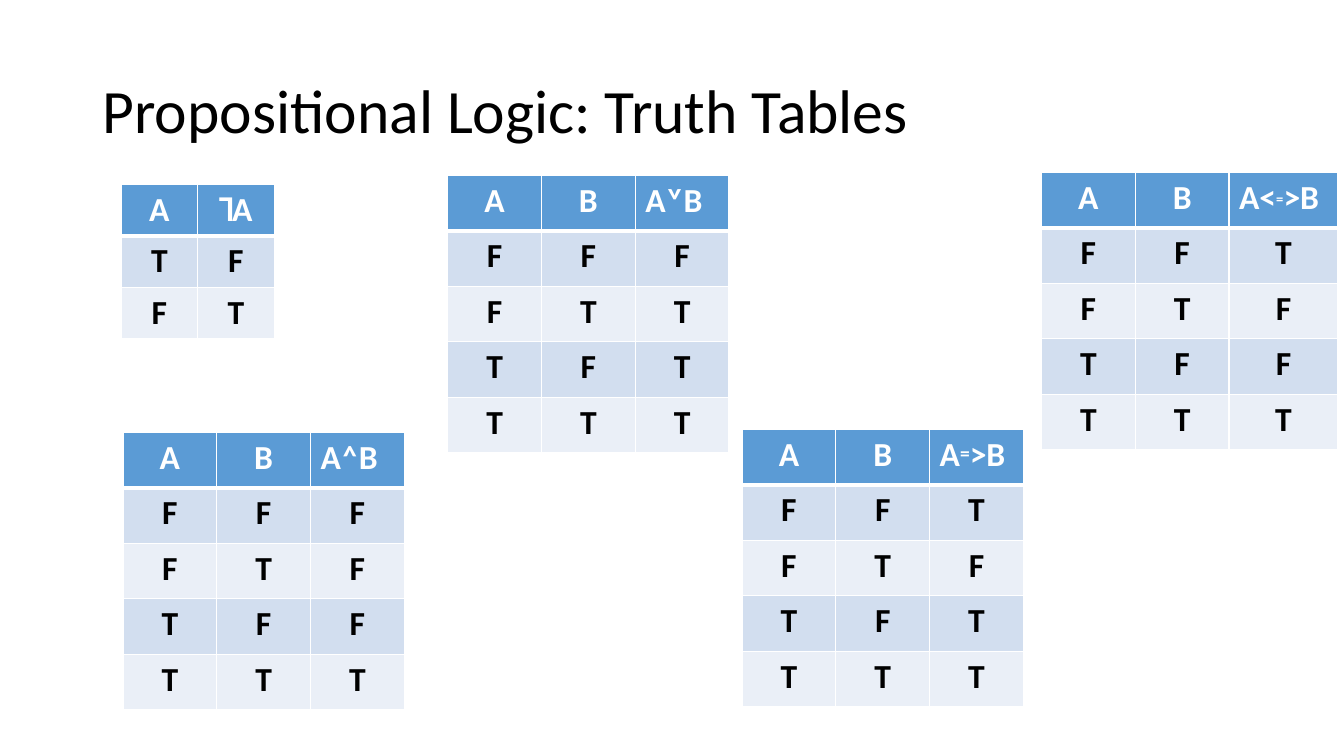
import itertools

import lxml.etree
import pptx
import pptx.dml.color
import pptx.enum.text
import pptx.oxml.ns
import pptx.util

SCALE = 9144  # EMU in one px, 100 px to the inch
THEME = {
    "font": "Calibri",
    "ink": "000000",
    "paper": "FFFFFF",
    "head": "5B9BD5",
    "bands": ("D2DEEF", "EAEFF7"),
    "title": 44,
    "cell": 24,
    "small": 18,
    "line": 1,
    "rule": 3,
}
LEFT = pptx.enum.text.PP_ALIGN.LEFT
MID = pptx.enum.text.PP_ALIGN.CENTER
PAIRS = list(itertools.product("FT", repeat=2))


def px(num):
    return pptx.util.Emu(num * SCALE)


def tint(code):
    return pptx.dml.color.RGBColor.from_string(code)


def put(item, form):
    for name, value in form.items():
        setattr(item, name, value)


def add_run(para, text, size, color, bold=False, lift=0):
    """Add a run; lift is its superscript rise in percent."""
    run = para.add_run()
    run.text = text
    put(run.font, {"name": THEME["font"], "size": pptx.util.Pt(size), "bold": bold})
    run.font.color.rgb = tint(color)
    if lift:
        run.font._element.set("baseline", str(lift * 1000))


def add_edge(cell, side, width):
    """Draw one border of a cell; side is L, R, T or B."""
    props = cell._tc.get_or_add_tcPr()
    tag = pptx.oxml.ns.qn
    line = lxml.etree.SubElement(props, tag(f"a:ln{side}"), w=str(pptx.util.Pt(width)))
    fill = lxml.etree.SubElement(line, tag("a:solidFill"))
    lxml.etree.SubElement(fill, tag("a:srgbClr"), val=THEME["paper"])


def fill_cell(cell, runs, row, align):
    """Fill a cell with (text, size, lift) runs; row 0 is the header."""
    for side in "LRTB":
        thick = (row, side) in ((0, "B"), (1, "T"))
        add_edge(cell, side, THEME["rule" if thick else "line"])
    cell.fill.solid()
    cell.fill.fore_color.rgb = tint(THEME["bands"][(row - 1) % 2] if row else THEME["head"])
    para = cell.text_frame.paragraphs[0]
    para.alignment = align
    for text, size, lift in runs:
        add_run(para, text, size, THEME["ink" if row else "paper"], True, lift)


def add_truth(slide, box, cols, label, rows):
    """Place a truth table at box (left, top, row height); label heads its last column."""
    left, top, high = box
    count = len(rows) + 1
    frame = slide.shapes.add_table(
        count, len(cols), px(left), px(top), px(sum(cols)), px(high * count))
    table = frame.table
    put(table, {"first_row": True, "horz_banding": False})
    for col, wide in zip(table.columns, cols):
        col.width = px(wide)
    for row in table.rows:
        row.height = px(high)

    plain = [[(text, THEME["cell"], 0)] for text in "AB"[:len(cols) - 1]]
    grid = [plain + [label]]
    grid += [[[(text, THEME["cell"], 0)] for text in row] for row in rows]
    for y, line in enumerate(grid):
        for x, runs in enumerate(line):
            align = LEFT if y == 0 and x == 2 else MID
            fill_cell(table.cell(y, x), runs, y, align)


def add_title(slide, box, text):
    frame = slide.shapes.add_textbox(*map(px, box)).text_frame
    put(frame, {"word_wrap": True, "vertical_anchor": pptx.enum.text.MSO_ANCHOR.MIDDLE})
    para = frame.paragraphs[0]
    para.line_spacing = 0.9
    add_run(para, text, THEME["title"], THEME["ink"])


def add_slide(deck):
    slide = deck.slides.add_slide(deck.slide_layouts[6])
    add_title(slide, (92, 40, 1150, 145), "Propositional Logic: Truth Tables")
    size, small = THEME["cell"], THEME["small"]
    add_truth(slide, (120, 183, 51), (76, 76), [("˥A", size, 0)], ["TF", "FT"])
    even = (93, 93, 93)
    tables = (
        ((122, 429, 55), even, [("A˄B", size, 0)], "FFFT"),
        ((444, 174, 55), even, [("A˅B", size, 0)], "FTTT"),
        ((736, 426, 55), even,
         [("A", size, 0), ("=", size, 18), (">B", size, 0)], "TFTT"),
        ((1033, 171, 55), (93, 93, 108),
         [("A<", size, 0), ("=", small, 18), (">B", size, 0)], "TFFT"),
    )
    for box, cols, label, values in tables:
        rows = [(*pair, value) for pair, value in zip(PAIRS, values)]
        add_truth(slide, box, cols, label, rows)


def main():
    deck = pptx.Presentation()
    put(deck, {"slide_width": px(1333), "slide_height": px(750)})
    add_slide(deck)
    deck.save("out.pptx")


if __name__ == "__main__":
    main()
